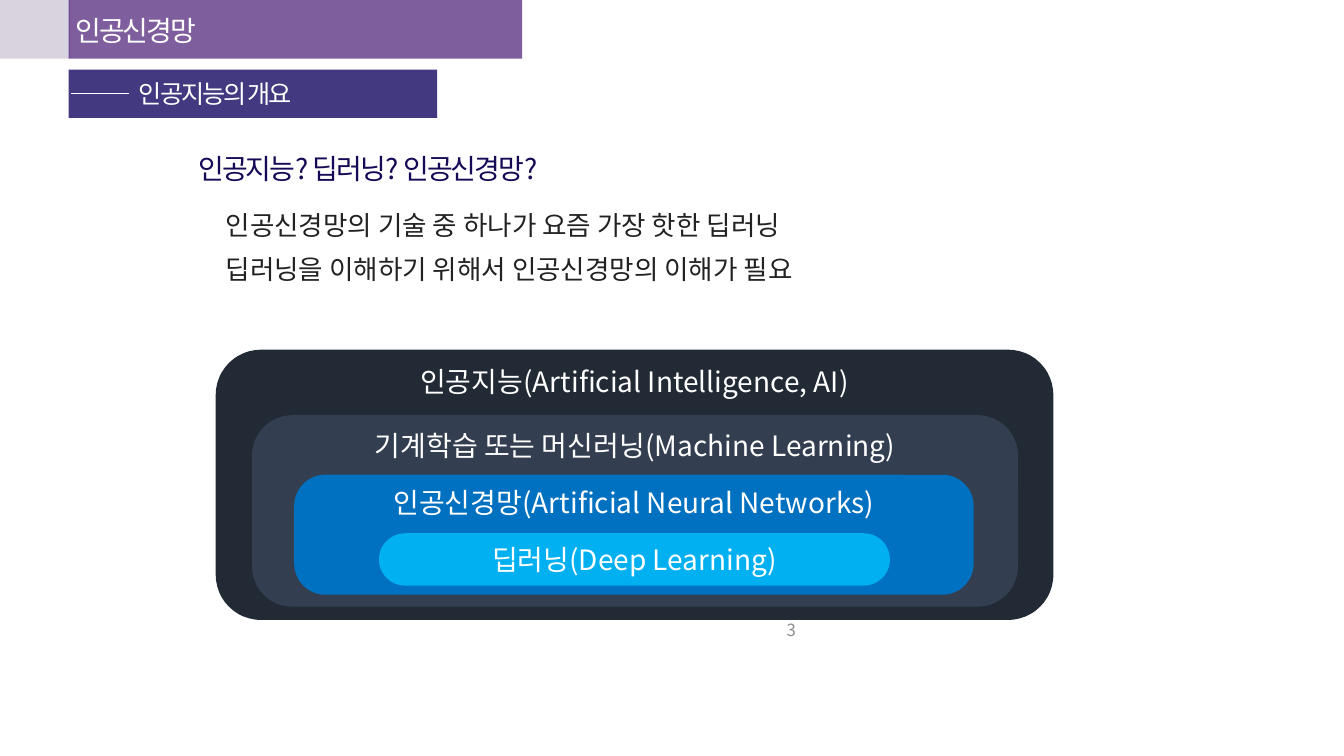
from pptx import Presentation
from pptx.dml.color import RGBColor as RGB
from pptx.enum.shapes import MSO_CONNECTOR as Link, MSO_SHAPE as Shape
from pptx.enum.text import MSO_ANCHOR as Anchor, PP_ALIGN as Align
from pptx.oxml.ns import qn
from pptx.util import Pt
from lxml.etree import SubElement as Sub

FONT = "Noto Sans CJK KR"
WHITE = RGB.from_string("FFFFFF")

deck = Presentation()
deck.slide_width, deck.slide_height = Pt(960), Pt(540)
slide = deck.slides.add_slide(deck.slide_layouts[6])
shapes = slide.shapes


def block(kind, box, color):
    """Add a flat filled shape without outline."""
    shape = shapes.add_shape(kind, *map(Pt, box))
    shape.shadow.inherit = False
    shape.fill.solid()
    shape.fill.fore_color.rgb = RGB.from_string(color)
    shape.line.fill.background()
    return shape


def write(shape, text, size, color, align=Align.LEFT, track=0, **form):
    """Fill a shape with one line; form holds text frame values."""
    frame = shape.text_frame
    form = {"word_wrap": True, "vertical_anchor": Anchor.MIDDLE} | form
    for name, value in form.items():
        setattr(frame, name, value)
    par = frame.paragraphs[0]
    par.alignment = align
    run = par.add_run()
    run.text = text
    look = {"size": Pt(size), "name": FONT}
    for name, value in look.items():
        setattr(run.font, name, value)
    run.font.color.rgb = RGB.from_string(color)
    props = run._r.get_or_add_rPr()
    Sub(props, qn("a:ea")).set("typeface", FONT)
    if track:
        props.set("spc", str(track))


# Header bars: box, colour, opacity in percent
bars = [
    ((0, 0, 50.4, 42), "432460", 20),
    ((49, 0, 324, 42), "4A1B76", 70),
    ((49, 49.7, 263.3, 34.6), "433980", 100),
]
for box, color, alpha in bars:
    bar = block(Shape.RECTANGLE, box, color)
    if alpha < 100:
        tint = bar.fill._xPr.find(".//" + qn("a:srgbClr"))
        Sub(tint, qn("a:alpha")).set("val", str(alpha * 1000))

rule = shapes.add_connector(Link.STRAIGHT, Pt(50.4), Pt(67), Pt(92.2), Pt(67))
rule.line.color.rgb = WHITE
rule.line.width = Pt(0.5)
Sub(rule._element.spPr, qn("a:effectLst"))

# Text lines: box, text, size, colour, letter spacing, alignment
lines = [
    ((92.2, 52.6, 136, 28.8), "인공지능의 개요", 18, "FFFFFF", -150, Align.LEFT),
    ((134.6, 104.4, 288, 31.7), "인공지능? 딥러닝? 인공신경망?", 20, "140A55", -150, Align.LEFT),
    ((154.1, 145.4, 464.4, 30.2), "인공신경망의 기술 중 하나가 요즘 가장 핫한 딥러닝",
     19, "222222", 0, Align.LEFT),
    ((154.1, 177.1, 470.2, 30.2), "딥러닝을 이해하기 위해서 인공신경망의 이해가 필요",
     19, "222222", 0, Align.LEFT),
    ((46.8, 5.8, 296.6, 31.7), "인공신경망", 20, "FFFFFF", -150, Align.LEFT),
    ((457.2, 435.6, 216, 28.8), "3", 12, "8C8C8C", 0, Align.CENTER),
]
for box, text, size, color, track, align in lines:
    label = shapes.add_textbox(*map(Pt, box))
    write(label, text, size, color, align, track)

# Nested fields, widest first: box, corner, colour, text, text placement
TOP = {"vertical_anchor": Anchor.TOP, "margin_top": Pt(1)}
fields = [
    ((154.1, 249.8, 598.3, 193), 0.167, "222A35",
     "인공지능(Artificial Intelligence, AI)", TOP),
    ((180, 296.6, 547.2, 136.8), 0.211, "333F50",
     "기계학습 또는 머신러닝(Machine Learning)", TOP),
    ((210.2, 339.1, 485.3, 85.7), 0.259, "0070C0",
     "인공신경망(Artificial Neural Networks)", TOP),
    ((270.7, 380.9, 365, 37.4), 0.5, "00B0F0", "딥러닝(Deep Learning)", {}),
]
for box, corner, color, text, form in fields:
    field = block(Shape.ROUNDED_RECTANGLE, box, color)
    field.adjustments[0] = corner
    write(field, text, 20, "FFFFFF", Align.CENTER, **form)

deck.save("out.pptx")
